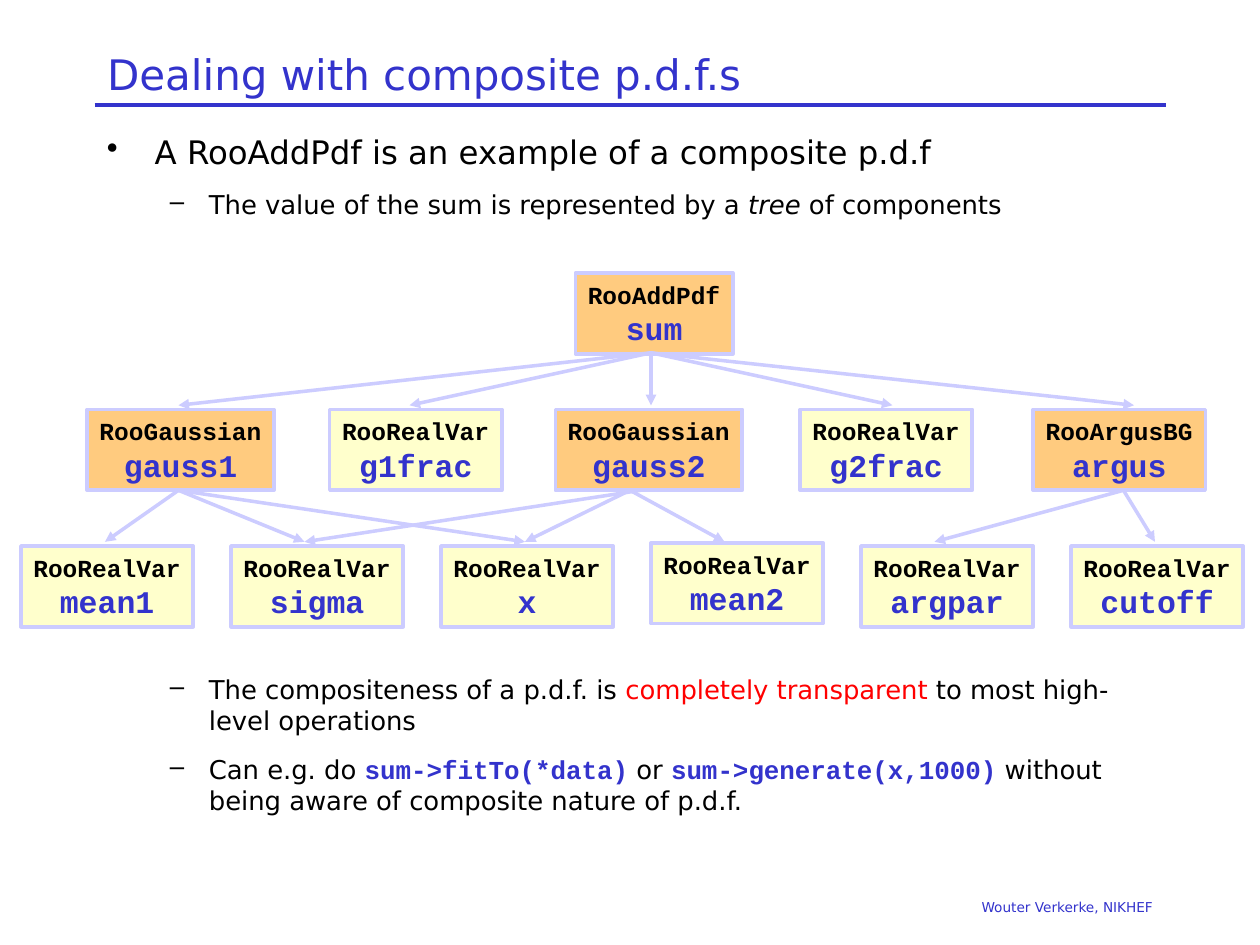
from copy import deepcopy
from dataclasses import dataclass

from lxml import etree
from pptx import Presentation
from pptx.dml.color import RGBColor
from pptx.enum.shapes import MSO_CONNECTOR, MSO_SHAPE
from pptx.enum.text import MSO_ANCHOR, PP_ALIGN
from pptx.oxml.ns import qn
from pptx.util import Inches, Pt

LEFT, CENTER, RIGHT = PP_ALIGN.LEFT, PP_ALIGN.CENTER, PP_ALIGN.RIGHT
TOP, MIDDLE = MSO_ANCHOR.TOP, MSO_ANCHOR.MIDDLE
STRAIGHT, RECTANGLE = MSO_CONNECTOR.STRAIGHT, MSO_SHAPE.RECTANGLE
GRID = Inches(1) / 12
COLUMNS, ROWS = 120, 90


@dataclass(frozen=True)
class Theme:
    sans: str = "DejaVu Sans"
    mono: str = "Courier New"
    ink: str = "000000"
    blue: str = "3333CC"
    red: str = "FF0000"
    edge: str = "CCCCFF"
    function: str = "FF9900"
    variable: str = "FFFFCC"
    title: float = 24
    lead: float = 18.5
    body: float = 14.8
    footer: float = 7.8
    node_class: float = 14
    node_name: float = 18
    stroke: float = 2


THEME = Theme()


def grid(*units):
    return [round(unit * GRID) for unit in units]


def add_child(parent, tag, **attributes):
    return etree.SubElement(parent, qn(tag), attributes)


def add_span(para, text, size=THEME.body, font=THEME.sans, color=THEME.ink,
             bold=False, italic=False):
    span = para.add_run()
    span.text = text
    span.font.size = Pt(size)
    span.font.name = font
    span.font.color.rgb = RGBColor.from_string(color)
    span.font.bold = bold
    span.font.italic = italic
    return span


def set_bullet(para, mark, margin, hanging):
    properties = para._p.get_or_add_pPr()
    properties.set("marL", str(Inches(margin)))
    properties.set("indent", str(-Inches(hanging)))
    color = add_child(properties, "a:buClr")
    add_child(color, "a:srgbClr", val=THEME.ink)
    add_child(properties, "a:buChar", char=mark)


class TreeSlide:
    def __init__(self, deck, theme):
        self.theme = theme
        self.page = deck.slides.add_slide(deck.slide_layouts[5])

    def title(self, text, left, top, width, height):
        box = self.page.shapes.title
        box.left, box.top, box.width, box.height = grid(left, top, width, height)
        box.text_frame.vertical_anchor = MIDDLE
        para = box.text_frame.paragraphs[0]
        para.alignment = LEFT
        add_span(para, text, size=self.theme.title, color=self.theme.blue)

    def text_box(self, left, top, width, height):
        box = self.page.shapes.add_textbox(*grid(left, top, width, height))
        box.text_frame.word_wrap = True
        box.text_frame.vertical_anchor = TOP
        return box.text_frame

    def footer(self, text, *place):
        para = self.text_box(*place).paragraphs[0]
        para.alignment = RIGHT
        add_span(para, text, size=self.theme.footer, color=self.theme.blue)

    def bullets(self, items, *place):
        frame = self.text_box(*place)
        for index, (level, spans) in enumerate(items):
            para = frame.add_paragraph() if index else frame.paragraphs[0]
            para.level = level
            if index:
                para.space_before = Pt(10)
            set_bullet(para, *(("–", 0.81, 0.31) if level else ("•", 0.38, 0.38)))
            for text, style in spans:
                add_span(para, text, **style)

    def line(self, start, end, color, arrow=False):
        link = self.page.shapes.add_connector(STRAIGHT, *grid(*start, *end))
        link.line.color.rgb = RGBColor.from_string(color)
        link.line.width = Pt(self.theme.stroke)
        if arrow:
            add_child(link.line._get_or_add_ln(), "a:tailEnd", type="triangle")
        add_child(link._element.spPr, "a:effectLst")

    def node(self, kind, name, left, top):
        theme = self.theme
        is_variable = kind == "RooRealVar"
        width = 1.4 * len(kind) + 2.4
        box = self.page.shapes.add_shape(RECTANGLE, *grid(left, top, width, 7.7))
        box.shadow.inherit = False
        box.fill.solid()
        box.fill.fore_color.rgb = RGBColor.from_string(
            theme.variable if is_variable else theme.function)
        if not is_variable:
            color = box._element.spPr.find(qn("a:solidFill"))[0]
            add_child(color, "a:alpha", val="50000")
        box.line.color.rgb = RGBColor.from_string(theme.edge)
        box.line.width = Pt(theme.stroke)
        box.text_frame.word_wrap = False
        box.text_frame.vertical_anchor = MIDDLE
        para = box.text_frame.paragraphs[0]
        para.alignment = CENTER
        span = add_span(para, kind, size=theme.node_class, font=theme.mono, bold=True)
        para.add_line_break()
        para._p[-1].append(deepcopy(span._r.rPr))
        add_span(para, name, size=theme.node_name, font=theme.mono,
                 color=theme.blue, bold=True)

    def fan(self, start, end_row, end_columns):
        for column in end_columns:
            self.line(start, (column, end_row), self.theme.edge, arrow=True)


def main():
    deck = Presentation()
    deck.slide_width, deck.slide_height = grid(COLUMNS, ROWS)
    slide = TreeSlide(deck, THEME)
    margin, width = 9, COLUMNS - 18
    code = {"font": THEME.mono, "color": THEME.blue, "bold": True}

    slide.line((margin, 10), (margin + width, 10), THEME.blue)
    slide.footer("Wouter Verkerke, NIKHEF", margin, 85, width, 3)
    slide.title("Dealing with composite p.d.f.s", margin, 4, width, 6)
    slide.bullets([
        (0, [("A RooAddPdf is an example of a composite p.d.f", {"size": THEME.lead})]),
        (1, [("The value of the sum is represented by a ", {}),
             ("tree", {"italic": True}),
             (" of components", {})]),
    ], margin, 12, width, 10)
    slide.bullets([
        (1, [("The compositeness of a p.d.f. is ", {}),
             ("completely transparent", {"color": THEME.red}),
             (" to most high-level operations", {})]),
        (1, [("Can e.g. do ", {}),
             ("sum->fitTo(*data)", code),
             (" or ", {}),
             ("sum->generate(x,1000)", code),
             (" without being aware of composite nature of p.d.f.", {})]),
    ], margin, 63.6, width, 18)

    slide.node("RooAddPdf", "sum", 54.8, 26)
    for kind, name, left in (
        ("RooGaussian", "gauss1", 8.3),
        ("RooRealVar", "g1frac", 31.4),
        ("RooGaussian", "gauss2", 52.9),
        ("RooRealVar", "g2frac", 76.2),
        ("RooArgusBG", "argus", 98.4),
    ):
        slide.node(kind, name, left, 39)
    leaves = ("mean1", "sigma", "x", "mean2", "argpar", "cutoff")
    for index, name in enumerate(leaves):
        slide.node("RooRealVar", name, 2 + 20 * index, 51.7 if name == "mean2" else 52)

    slide.fan((62, 33.6), 38.6, (17, 39, 62, 85, 108))
    for column, targets in (
        (17, (10, 29, 50)),
        (61, (29,)),
        (60, (50, 69)),
        (107, (89, 110)),
    ):
        slide.fan((column, 46.7), 51.6, targets)

    deck.save("out.pptx")


if __name__ == "__main__":
    main()
